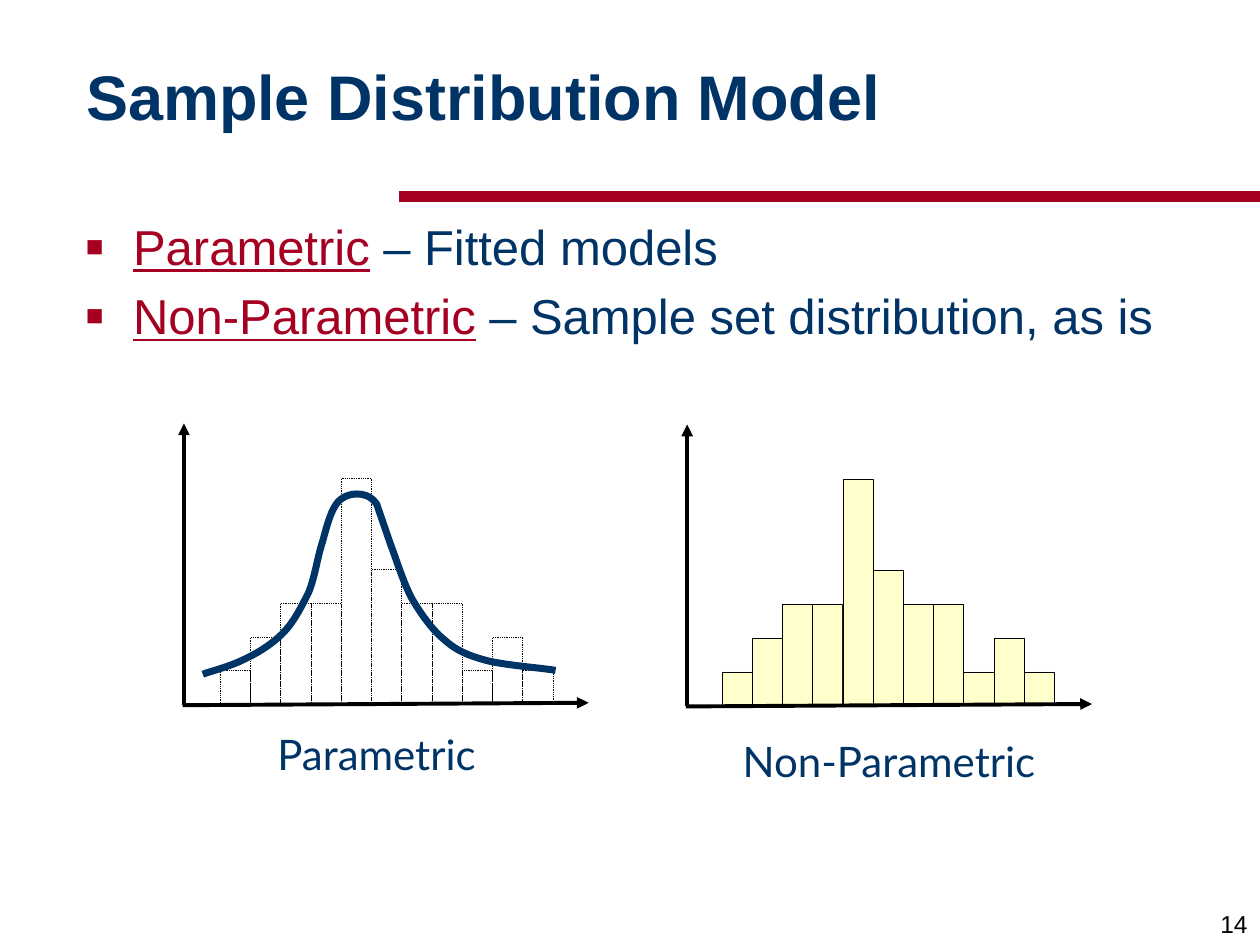
from lxml import etree
from pptx import Presentation
from pptx.dml.color import RGBColor
from pptx.enum.dml import MSO_LINE
from pptx.enum.shapes import MSO_CONNECTOR, MSO_SHAPE
from pptx.enum.text import MSO_ANCHOR, PP_ALIGN
from pptx.oxml.ns import qn
from pptx.util import Pt

STRAIGHT, RECTANGLE = MSO_CONNECTOR.STRAIGHT, MSO_SHAPE.RECTANGLE
DOTTED = MSO_LINE.ROUND_DOT
LEFT, CENTER, RIGHT = PP_ALIGN.LEFT, PP_ALIGN.CENTER, PP_ALIGN.RIGHT
TOP, MIDDLE, BOTTOM = MSO_ANCHOR.TOP, MSO_ANCHOR.MIDDLE, MSO_ANCHOR.BOTTOM

COLORS = {"navy": "003366", "red": "A50021", "cream": "FFFFCC",
          "ink": "010000", "black": "000000"}
FORMATS = {
    "title": {"name": "Arial", "size": Pt(36), "bold": True},
    "body": {"name": "Arial", "size": Pt(28), "underline": False},
    "term": {"name": "Arial", "size": Pt(28), "underline": True},
    "caption": {"name": "Lato", "size": Pt(24)},
    "number": {"name": "Arial", "size": Pt(14)},
}
BULLETS = [("Parametric", " – Fitted models"),
           ("Non-Parametric", " – Sample set distribution, as is")]

BAR_PITCH = 17.28
BAR_HEIGHTS = [19, 38, 57.6, 57.6, 129, 77, 57.6, 57.6, 19, 38, 19]
# Fitted curve, relative to the plot box. A segment is two controls and an end,
# or only an end where the curve runs straight.
CURVE_START = (11.5, 143.3)
CURVE_SEGMENTS = [
    ((15.1, 141.8), (26.6, 139), (33.8, 135.4)),
    ((41.8, 131.8), (50.4, 126.7), (56.9, 120.2)),
    ((63.4, 113.8), (67.7, 105.1), (72, 96.5)),
    ((75.6, 87.8), (77, 76.3), (79.9, 67.7)),
    ((82.1, 59.8), (84.2, 51.1), (87.8, 46.1)),
    ((90.7, 41.8), (95.8, 40.3), (99.4, 40.3)),
    ((103, 40.3), (107.3, 41), (110.9, 46.1)),
    ((118.8, 69.1),),
    ((122.4, 78.5), (126, 90.7), (131, 100.1)),
    ((136.1, 108.7), (142.6, 118.1), (149.8, 123.8)),
    ((156.2, 129.6), (162.7, 132.5), (173.5, 135.4)),
    ((184.3, 138.2), (205.2, 139.7), (213.1, 141.1)),
]


def rgb(color):
    return RGBColor.from_string(COLORS[color])


def add_run(paragraph, text, style, color):
    run = paragraph.add_run()
    run.text = text
    for attribute, value in FORMATS[style].items():
        setattr(run.font, attribute, value)
    run.font.color.rgb = rgb(color)


def add_text_frame(slide, box, anchor=TOP):
    frame = slide.shapes.add_textbox(*map(Pt, box)).text_frame
    frame.word_wrap = True
    frame.vertical_anchor = anchor
    return frame


def add_label(slide, box, text, style, color, alignment, anchor=TOP):
    paragraph = add_text_frame(slide, box, anchor).paragraphs[0]
    paragraph.alignment = alignment
    add_run(paragraph, text, style, color)


def add_line(slide, start, end, color, width, arrow=False):
    connector = slide.shapes.add_connector(STRAIGHT, *map(Pt, start + end))
    connector.line.color.rgb = rgb(color)
    connector.line.width = Pt(width)
    if arrow:
        outline = connector._element.spPr.find(qn("a:ln"))
        etree.SubElement(outline, qn("a:tailEnd"), type="triangle")
    etree.SubElement(connector._element.spPr, qn("a:effectLst"))


def fill_title(slide, box, text):
    title = slide.shapes.title
    title.left, title.top, title.width, title.height = map(Pt, box)
    title.text_frame.vertical_anchor = MIDDLE
    paragraph = title.text_frame.paragraphs[0]
    paragraph.alignment = LEFT
    paragraph.line_spacing = 0.9
    add_run(paragraph, text, "title", "navy")


def set_bullet(paragraph, indent):
    properties = paragraph._p.get_or_add_pPr()
    properties.set("marL", str(Pt(indent)))
    properties.set("indent", str(-Pt(indent)))
    bullet_color = etree.SubElement(properties, qn("a:buClr"))
    etree.SubElement(bullet_color, qn("a:srgbClr"), val=COLORS["red"])
    etree.SubElement(properties, qn("a:buSzPct"), val="60000")
    etree.SubElement(properties, qn("a:buFont"), typeface="Arial")
    etree.SubElement(properties, qn("a:buChar"), char="■")


def add_bullets(slide, box):
    frame = add_text_frame(slide, box)
    for index, (term, meaning) in enumerate(BULLETS):
        paragraph = frame.add_paragraph() if index else frame.paragraphs[0]
        paragraph.space_before = Pt(6)
        set_bullet(paragraph, 27)
        add_run(paragraph, term, "term", "red")
        add_run(paragraph, meaning, "body", "navy")


def add_histogram(slide, box, first_bar, fitted):
    """Bars and axes; a fitted histogram has dotted, unfilled bars."""
    left, top, width, height = box
    base = top + height
    for index, bar_height in enumerate(BAR_HEIGHTS):
        bar = slide.shapes.add_shape(
            RECTANGLE, Pt(left + first_bar + index * BAR_PITCH),
            Pt(base - 0.7 - bar_height), Pt(BAR_PITCH), Pt(bar_height))
        bar.shadow.inherit = False
        bar.line.color.rgb = rgb("ink")
        bar.line.width = Pt(0.5)
        if fitted:
            bar.fill.background()
            bar.line.dash_style = DOTTED
        else:
            bar.fill.solid()
            bar.fill.fore_color.rgb = rgb("cream")
    add_line(slide, (left + 0.7, base), (left + 0.7, top), "ink", 2.25, arrow=True)
    add_line(slide, (left, base), (left + width, base - 1.4), "ink", 2.25, arrow=True)


def add_fitted_curve(slide, box):
    """Build the outline through the segment ends, then bend it by its controls."""
    left, top = box[:2]

    def place(point):
        return Pt(left + point[0]), Pt(top + point[1])

    builder = slide.shapes.build_freeform(*place(CURVE_START))
    builder.add_line_segments(
        [place(segment[-1]) for segment in CURVE_SEGMENTS], close=False)
    curve = builder.convert_to_shape()
    straight_parts = list(curve._element.iter(qn("a:lnTo")))
    for part, segment in zip(straight_parts, CURVE_SEGMENTS):
        if len(segment) == 1:
            continue
        bend = etree.Element(qn("a:cubicBezTo"))
        for x, y in map(place, segment):
            etree.SubElement(bend, qn("a:pt"), x=str(x - curve.left), y=str(y - curve.top))
        part.getparent().replace(part, bend)
    curve.shadow.inherit = False
    curve.fill.background()
    curve.line.color.rgb = rgb("navy")
    curve.line.width = Pt(4)


def main():
    presentation = Presentation()
    presentation.slide_width, presentation.slide_height = Pt(720), Pt(540)
    slide = presentation.slides.add_slide(presentation.slide_layouts[5])
    add_line(slide, (228.3, 112.3), (720, 112.3), "red", 6)
    fill_title(slide, (42, 12, 642, 90), "Sample Distribution Model")
    add_bullets(slide, (42, 120.2, 642, 166))

    sample_plot = (392, 242.6, 232, 161.1)
    add_histogram(slide, sample_plot, first_bar=20.6, fitted=False)
    add_label(slide, (400.3, 417, 215.3, 36), "Non-Parametric", "caption", "navy", CENTER)

    fitted_plot = (104.4, 242, 232, 161)
    add_histogram(slide, fitted_plot, first_bar=21.6, fitted=True)
    add_fitted_curve(slide, fitted_plot)
    add_label(slide, (131.2, 412.5, 168, 36), "Parametric", "caption", "navy", CENTER)

    add_label(slide, (570, 504, 150, 36), "14", "number", "black", RIGHT, BOTTOM)
    presentation.save("out.pptx")


if __name__ == "__main__":
    main()
